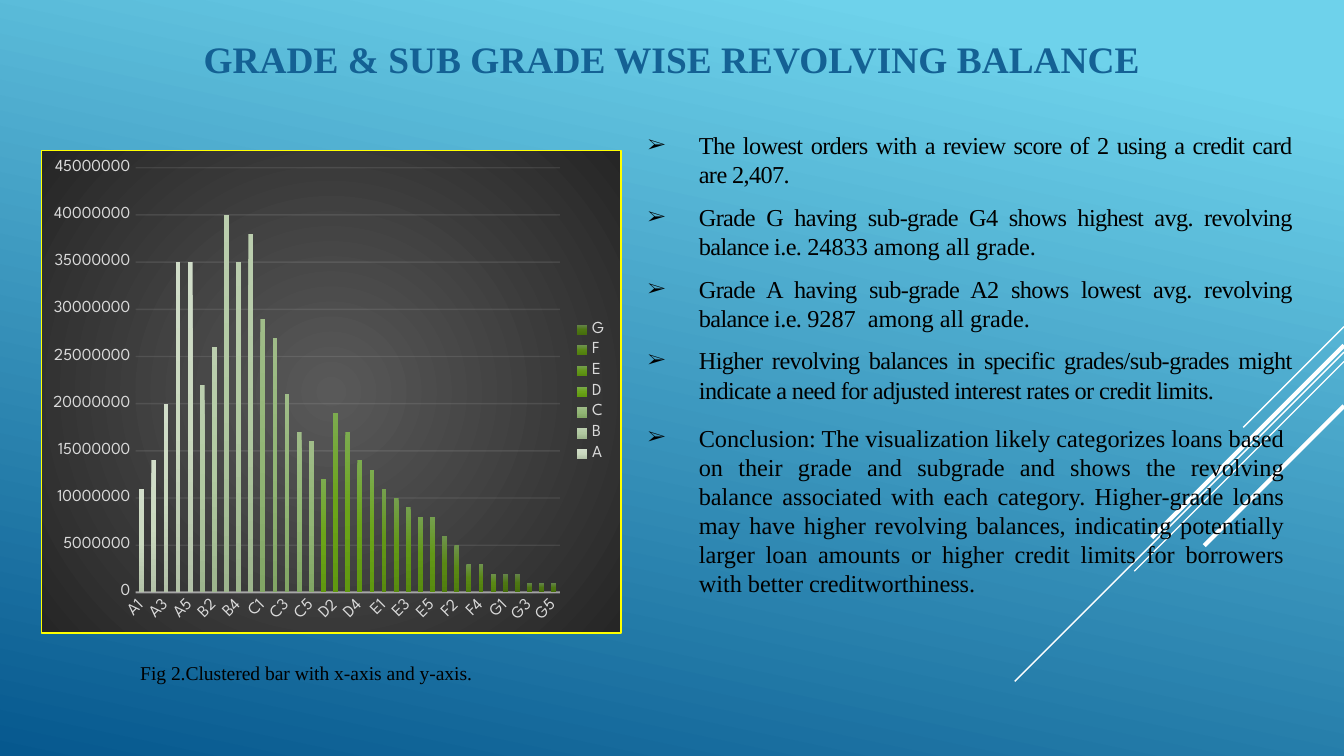
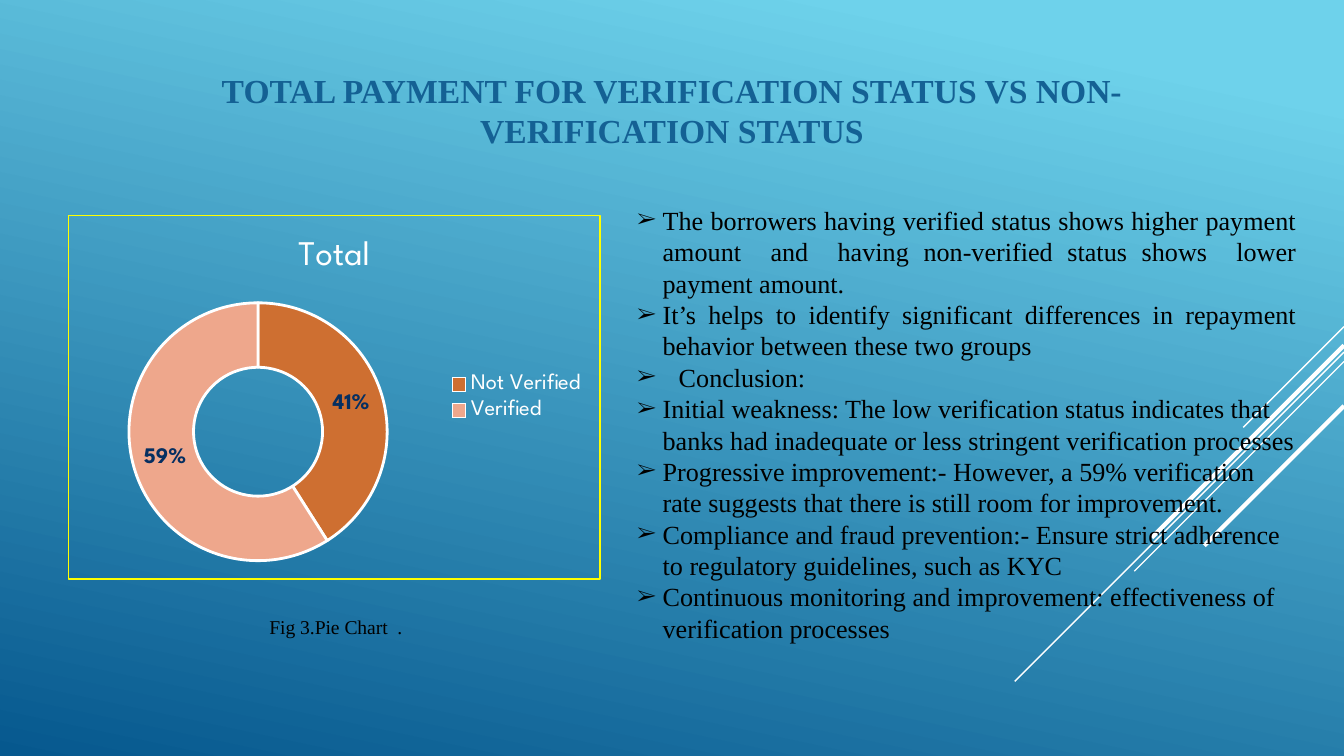
"""Build two slides on loan grades and payment verification."""
import dataclasses
import typing

import pptx
import pptx.chart.data
import pptx.dml.color
import pptx.enum.chart
import pptx.enum.shapes
import pptx.enum.text
import pptx.oxml
import pptx.oxml.ns
import pptx.util

RGBColor = pptx.dml.color.RGBColor
Align = pptx.enum.text.PP_ALIGN
ChartType = pptx.enum.chart.XL_CHART_TYPE
Pt = pptx.util.Pt
qn = pptx.oxml.ns.qn

SKY = RGBColor(0x6E, 0xD2, 0xEB)
DEEP = RGBColor(0x06, 0x58, 0x8E)
HEADING = RGBColor(0x14, 0x61, 0x94)
BLACK = RGBColor(0, 0, 0)
WHITE = RGBColor(0xFF, 0xFF, 0xFF)
YELLOW = RGBColor(0xFF, 0xFF, 0)
NAVY = RGBColor(0x05, 0x2F, 0x61)
PALE = RGBColor(0xD9, 0xD9, 0xD9)
RULE = RGBColor(0xF2, 0xF2, 0xF2)
CHARCOAL = (RGBColor(0x59, 0x59, 0x59), RGBColor(0x26, 0x26, 0x26))
SLICES = (RGBColor(0xCE, 0x6F, 0x31), RGBColor(0xEE, 0xA7, 0x8C))

SERIF = "Times New Roman"
SANS = "League Spartan"
WIDTH = pptx.util.Inches(10)
HEIGHT = pptx.util.Inches(5.625)
CELL = WIDTH / 100
NAMESPACES = pptx.oxml.ns.nsdecls("a", "c")


class Area(typing.NamedTuple):
    """A rectangle in grid columns and rows."""

    column: float
    row: float
    columns: float
    rows: float


class Streak(typing.NamedTuple):
    """A diagonal line falling from the right edge."""

    row: float
    reach: float
    weight: float


class Span(typing.NamedTuple):
    """Text with its letter spacing in points."""

    text: str
    tracking: float = 0


class Grade(typing.NamedTuple):
    """A loan grade with millions per sub-grade and its gradient."""

    name: str
    millions: tuple[int, ...]
    colors: tuple[str, str, str]


@dataclasses.dataclass(frozen=True)
class Point:
    """A bulleted paragraph."""

    spans: tuple[Span, ...]
    align: Align = Align.LEFT
    indent: float = 1.9
    hang: float = 1.9
    before: float = 0
    right: float = 0


@dataclasses.dataclass(frozen=True)
class Story:
    """The words of a page and where they stand."""

    title: str
    title_area: Area
    title_size: float
    points: tuple[Point, ...]
    body_area: Area
    body_size: float
    caption: str
    caption_area: Area


STREAKS = (Streak(24.3, 7.5, 0.75), Streak(26.2, 24.5, 0.75), Streak(26.9, 15.6, 0.75),
           Streak(25.7, 14.3, 2.25), Streak(30.2, 10.4, 2.25))

GRADES = (
    Grade("A", (11, 14, 20, 35, 35), ("D1DDC9", "CAD9BF", "B3C2A8")),
    Grade("B", (22, 26, 40, 35, 38), ("BBCEAE", "B1C9A1", "9DB58D")),
    Grade("C", (29, 27, 21, 17, 16), ("9FBC88", "92B675", "82A665")),
    Grade("D", (12, 19, 17, 14, 13), ("7CAB4F", "6BA419", "609810")),
    Grade("E", (11, 10, 9, 8, 8), ("759F4E", "629717", "588B0F")),
    Grade("F", (6, 5, 3, 3, 2), ("6E924D", "598814", "507E0D")),
    Grade("G", (2, 2, 1, 1, 1), ("66844D", "4D7612", "456D0C")),
)


def finding(*spans: Span, before: float = 7.2, right: float = 0) -> Point:
    """Return a justified point with a wide hanging bullet."""
    return Point(spans, Align.JUSTIFY, 3.9, 3.8, before, right)


BALANCE = Story(
    "GRADE & SUB GRADE WISE REVOLVING BALANCE", Area(8.7, 1.95, 82.6, 4.8), 20,
    (
        finding(Span("The lowest orders with a review score of 2 using a credit card are 2,407.", -0.3)),
        finding(Span("Grade G having sub-grade G4 shows highest avg. revolving balance i.e. ", -0.3),
                Span("24833 among all grade.")),
        finding(Span("Grade A having sub-grade A2 shows lowest avg. revolving balance i.e. ", -0.3),
                Span("9287  among all grade.")),
        finding(Span("Higher revolving balances in specific grades/sub-grades might indicate a need for "
                     "adjusted interest rates or credit limits.", -0.3)),
        finding(Span("Conclusion: The visualization likely categorizes loans based on their grade and subgrade "
                     "and shows the revolving balance associated with each category. Higher-grade loans may have "
                     "higher revolving balances, indicating potentially larger loan amounts or higher credit "
                     "limits for borrowers with better creditworthiness."), before=10.1, right=0.6),
    ),
    Area(47.1, 9.2, 50, 36), 13,
    "Fig 2.Clustered bar with x-axis and y-axis.", Area(3.1, 48.7, 39.4, 2.8))

PAYMENT = Story(
    "TOTAL PAYMENT FOR VERIFICATION STATUS VS NON-VERIFICATION STATUS", Area(8.7, 4.7, 82.6, 7), 18,
    (
        Point((Span("The borrowers having verified status shows higher payment amount  and  having "
                    "non-verified status shows  lower payment amount."),), Align.JUSTIFY),
        Point((Span("It’s helps to identify significant differences in repayment behavior between "
                    "these two groups"),), Align.JUSTIFY),
        Point((Span("Conclusion:"),), indent=3.1, hang=3.1),
        Point((Span("Initial weakness: The low verification status indicates that banks had inadequate "
                    "or less stringent verification processes"),)),
        Point((Span("Progressive improvement:- However, a 59% verification rate suggests that there is "
                    "still room for improvement."),)),
        Point((Span("Compliance and fraud prevention:- Ensure strict adherence to regulatory guidelines, "
                    "such as KYC"),)),
        Point((Span("Continuous monitoring and improvement: effectiveness of verification processes"),)),
    ),
    Area(46.4, 14.7, 51.1, 34), 14,
    "Fig 3.Pie Chart  .", Area(5.3, 45.3, 39.4, 2.8))


def grid(cells: float) -> pptx.util.Emu:
    """Convert grid cells to a length."""
    return pptx.util.Emu(round(cells * CELL))


def place(box, area: Area) -> None:
    """Move and size a box, and let its text wrap without scaling."""
    box.left, box.top, box.width, box.height = map(grid, area)
    box.text_frame.word_wrap = True
    box.text_frame.auto_size = pptx.enum.text.MSO_AUTO_SIZE.NONE


def style(font, size: float, color: RGBColor, name: str = SANS, bold: bool = False) -> None:
    """Set the face, size, colour and weight of a font."""
    font.name, font.size, font.bold = name, Pt(size), bold
    font.color.rgb = color


def write(para, text: str, *, size: float, color: RGBColor = BLACK, bold: bool = False,
          tracking: float = 0, align: Align = Align.CENTER) -> None:
    """Add formatted text to a paragraph."""
    para.alignment = align
    span = para.add_run()
    span.text = text
    style(span.font, size, color, SERIF, bold)
    if tracking:
        span.font._element.set("spc", str(round(tracking * 100)))


def add_bullet(para, point: Point) -> None:
    """Give a paragraph its arrow bullet, indents and spacing."""
    para.space_before = Pt(point.before)
    properties = para._p.get_or_add_pPr()
    properties.set("marL", str(grid(point.indent)))
    properties.set("marR", str(grid(point.right)))
    properties.set("indent", str(-grid(point.hang)))
    for markup in (f'<a:buClr {NAMESPACES}><a:srgbClr val="{BLACK}"/></a:buClr>',
                   f'<a:buSzPct {NAMESPACES} val="80000"/>',
                   f'<a:buFont {NAMESPACES} typeface="{SERIF}"/>',
                   f'<a:buChar {NAMESPACES} char="➢"/>'):
        properties.append(pptx.oxml.parse_xml(markup))


def gradient(colors: typing.Sequence, direction: str) -> str:
    """Return gradient markup with evenly spaced stops."""
    step = 100000 // (len(colors) - 1)
    stops = "".join(f'<a:gs pos="{index * step}"><a:srgbClr val="{color}"/></a:gs>'
                    for index, color in enumerate(colors))
    return f'<a:gradFill rotWithShape="1"><a:gsLst>{stops}</a:gsLst>{direction}</a:gradFill>'


def chart_format(content: str):
    """Return a chart shape-properties element."""
    return pptx.oxml.parse_xml(f"<c:spPr {NAMESPACES}>{content}</c:spPr>")


def set_line(line, color: RGBColor, weight: float, opacity: int = 100) -> None:
    """Colour a line and make it partly transparent."""
    line.color.rgb = color
    line.width = Pt(weight)
    if opacity < 100:
        tint = line._get_or_add_ln().find(".//" + qn("a:srgbClr"))
        tint.append(pptx.oxml.parse_xml(f'<a:alpha {NAMESPACES} val="{opacity * 1000}"/>'))


def decorate_master(deck, page) -> None:
    """Put the gradient background and the diagonal streaks on the master."""
    fill = deck.slide_master.background.fill
    fill.gradient()
    fill.gradient_angle = 258
    for stop, color, position in zip(fill.gradient_stops, (SKY, DEEP), (0.1, 1)):
        stop.color.rgb, stop.position = color, position
    for number, streak in enumerate(STREAKS, 20):
        line = page.shapes.add_connector(
            pptx.enum.shapes.MSO_CONNECTOR.STRAIGHT, grid(100), grid(streak.row),
            grid(100 - streak.reach), grid(streak.row + streak.reach))
        set_line(line.line, WHITE, streak.weight)
        line.element.spPr.append(pptx.oxml.parse_xml(f"<a:effectLst {NAMESPACES}/>"))
        line.element.nvCxnSpPr.cNvPr.set("id", str(number))
        deck.slide_master.element.cSld.spTree.append(line.element)


def tell(page, story: Story) -> None:
    """Fill the title, the bulleted body and the caption."""
    title, body = page.shapes.title, page.placeholders[1]
    place(title, story.title_area)
    title.text_frame.vertical_anchor = pptx.enum.text.MSO_ANCHOR.MIDDLE
    write(title.text_frame.paragraphs[0], story.title, size=story.title_size, color=HEADING, bold=True)
    place(body, story.body_area)
    for index, point in enumerate(story.points):
        para = body.text_frame.add_paragraph() if index else body.text_frame.paragraphs[0]
        add_bullet(para, point)
        for span in point.spans:
            write(para, span.text, size=story.body_size, tracking=span.tracking, align=point.align)
    caption = page.shapes.add_textbox(*map(grid, story.caption_area))
    place(caption, story.caption_area)
    write(caption.text_frame.paragraphs[0], story.caption, size=10.5)


def add_chart(page, kind: ChartType, area: Area, data, fill: str, legend_size: float, legend_color: RGBColor):
    """Add a yellow-framed chart with a legend on the right."""
    chart = page.shapes.add_chart(kind, *map(grid, area), data).chart
    style(chart.font, 10, WHITE)
    frame = f'{fill}<a:ln w="{Pt(0.75)}"><a:solidFill><a:srgbClr val="{YELLOW}"/></a:solidFill></a:ln>'
    chart._chartSpace.find(qn("c:txPr")).addprevious(chart_format(frame))
    chart._chartSpace.find(".//" + qn("c:plotArea")).append(chart_format("<a:noFill/>"))
    chart.has_legend = True
    chart.legend.position = pptx.enum.chart.XL_LEGEND_POSITION.RIGHT
    chart.legend.include_in_layout = False
    style(chart.legend.font, legend_size, legend_color)
    return chart


def add_balance_chart(page) -> None:
    """Draw the revolving balance of every sub-grade, coloured by grade."""
    data = pptx.chart.data.CategoryChartData()
    data.categories = [f"{grade.name}{number}" for grade in GRADES for number in range(1, 6)]
    for index, grade in enumerate(GRADES):
        values = [million * 1_000_000 for million in grade.millions]
        data.add_series(grade.name, [None] * 5 * index + values + [None] * 5 * (len(GRADES) - index - 1))
    radial = '<a:path path="circle"><a:fillToRect l="50000" t="50000" r="50000" b="50000"/></a:path>'
    chart = add_chart(page, ChartType.COLUMN_STACKED, Area(3.05, 11.15, 43.2, 36), data,
                      gradient(CHARCOAL, radial), 9, PALE)
    chart.has_title = False
    plot = chart.plots[0]
    plot.gap_width, plot.overlap, plot.vary_by_categories = 150, 100, False
    for series, grade in zip(plot.series, GRADES):
        properties = series._element.get_or_add_spPr()
        markup = chart_format(gradient(grade.colors, '<a:lin ang="5400000" scaled="0"/>'))
        properties.append(markup[0])
    for axis in (chart.category_axis, chart.value_axis):
        axis.major_tick_mark = axis.minor_tick_mark = pptx.enum.chart.XL_TICK_MARK.NONE
        style(axis.tick_labels.font, 9, PALE)
    chart.category_axis._element.find(qn("c:txPr")).find(qn("a:bodyPr")).set("rot", "-2700000")
    set_line(chart.category_axis.format.line, RULE, 1, 54)
    amounts = chart.value_axis
    amounts.minimum_scale, amounts.maximum_scale, amounts.major_unit = 0, 45_000_000, 5_000_000
    amounts.format.line.fill.background()
    amounts.has_major_gridlines = True
    set_line(amounts.major_gridlines.format.line, RULE, 0.75, 10)


def add_payment_chart(page) -> None:
    """Draw the shares of verified and unverified payment as a ring."""
    data = pptx.chart.data.CategoryChartData()
    data.categories = ["Not Verified", "Verified"]
    data.add_series("Total", (41, 59))
    chart = add_chart(page, ChartType.DOUGHNUT, Area(5.05, 16, 39.65, 27.15), data, "<a:noFill/>", 12, WHITE)
    chart.has_title = True
    heading = chart.chart_title.text_frame
    heading.text = "Total"
    style(heading.paragraphs[0].runs[0].font, 18.6, WHITE)
    plot = chart.plots[0]
    plot._element.find(qn("c:holeSize")).set("val", "75")
    for index, color in enumerate(SLICES):
        piece = plot.series[0].points[index].format
        piece.fill.solid()
        piece.fill.fore_color.rgb = color
        set_line(piece.line, WHITE, 1.5)
    labels = plot.series[0].data_labels
    labels.show_percentage, labels.show_value = True, False
    labels.number_format, labels.number_format_is_linked = "0%", False
    style(labels.font, 12, NAVY, bold=True)


def main() -> None:
    """Build and save the deck."""
    deck = pptx.Presentation()
    deck.slide_width, deck.slide_height = WIDTH, HEIGHT
    layout = deck.slide_layouts.get_by_name("Title and Content")
    for index, (story, draw) in enumerate(((BALANCE, add_balance_chart), (PAYMENT, add_payment_chart))):
        page = deck.slides.add_slide(layout)
        if index == 0:
            decorate_master(deck, page)
        tell(page, story)
        draw(page)
    deck.save("out.pptx")


if __name__ == "__main__":
    main()
